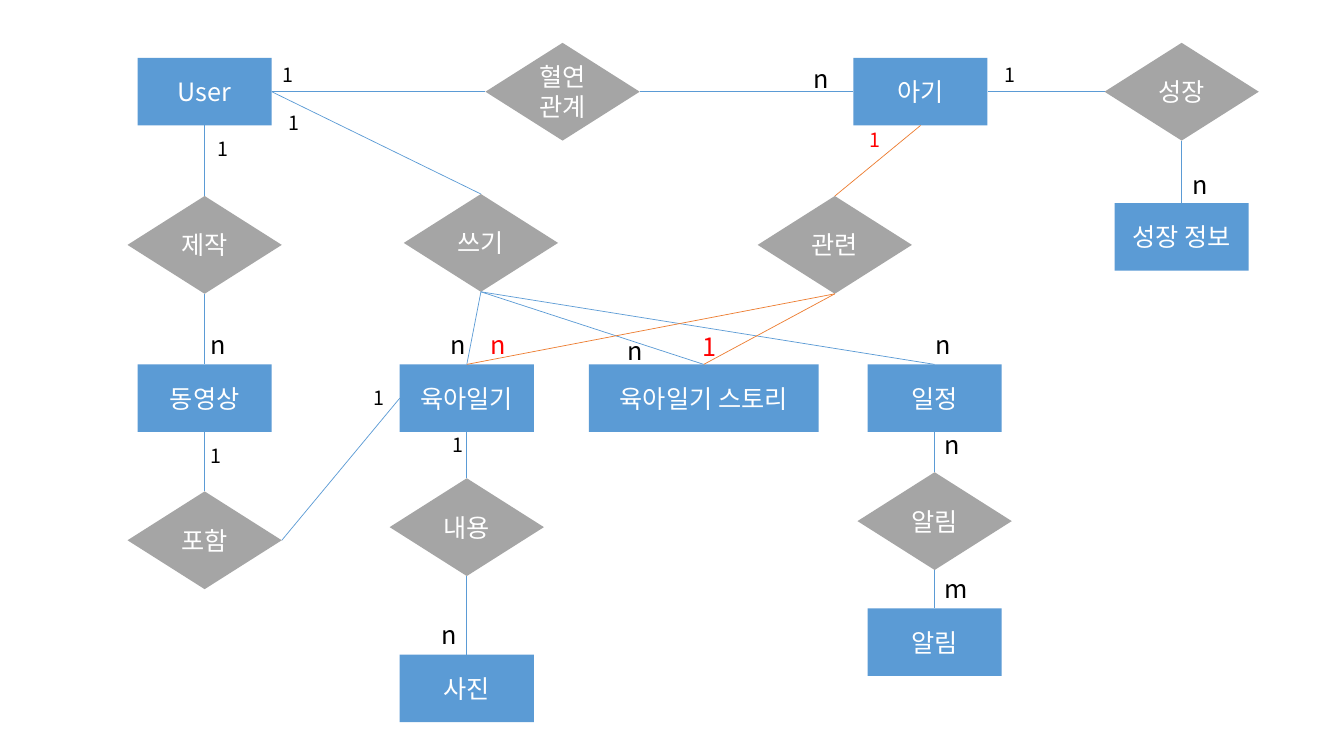
"""Build an entity-relationship diagram for a baby diary service."""
from dataclasses import dataclass
from enum import IntEnum

from lxml import etree
from pptx import Presentation
from pptx import util as u
from pptx.dml.color import RGBColor
from pptx.enum import shapes, text
from pptx.oxml.ns import qn
from pptx.shapes.autoshape import Shape
from pptx.slide import Slide
from pptx.text.text import TextFrame


@dataclass(frozen=True)
class Theme:
    """Colours, font and sizes shared by the diagram."""
    font: str = "Noto Sans CJK KR"
    entity: str = "5B9BD5"
    relation: str = "A5A5A5"
    related: str = "ED7D31"
    white: str = "FFFFFF"
    black: str = "000000"
    red: str = "FF0000"
    body: int = 18
    small: int = 14
    line: float = 0.5


THEME = Theme()


class Side(IntEnum):
    """Connection sites of rectangles and diamonds."""
    TOP = 0
    LEFT = 1
    BOTTOM = 2
    RIGHT = 3


@dataclass(frozen=True)
class Node:
    """An entity or relation placed by its centre."""
    key: str
    label: str
    x: float
    y: float
    width: float = 1.33
    height: float = 0.67
    kind: shapes.MSO_SHAPE = shapes.MSO_SHAPE.RECTANGLE
    fill: str = THEME.entity


@dataclass(frozen=True)
class Link:
    """A line between two node sides."""
    start: str
    start_side: Side
    end: str
    end_side: Side
    color: str = THEME.entity


@dataclass(frozen=True)
class Mark:
    """A cardinality mark placed by its top left corner."""
    label: str
    left: float
    top: float
    size: int = THEME.body
    color: str = THEME.black


def relation(key: str, label: str, x: float, y: float) -> Node:
    """Describe a relation diamond."""
    return Node(key, label, x, y, 1.53, 0.97, shapes.MSO_SHAPE.FLOWCHART_DECISION, THEME.relation)


def one(left: float, top: float, color: str = THEME.black) -> Mark:
    """Describe a small mark for a single item."""
    return Mark("1", left, top, THEME.small, color)


TOP_ROW, MIDDLE_ROW = 0.91, 3.95
VIDEO_X, DIARY_X, STORY_X, PLAN_X, GROWTH_X = 2.03, 4.63, 6.98, 9.27, 11.72

NODES = [
    Node("user", "User", VIDEO_X, TOP_ROW),
    Node("baby", "아기", 9.13, TOP_ROW),
    Node("growth_info", "성장 정보", GROWTH_X, 2.35),
    Node("video", "동영상", VIDEO_X, MIDDLE_ROW),
    Node("photo", "사진", DIARY_X, 6.83),
    Node("plan", "일정", PLAN_X, MIDDLE_ROW),
    Node("diary", "육아일기", DIARY_X, MIDDLE_ROW),
    Node("story", "육아일기 스토리", STORY_X, MIDDLE_ROW, width=2.28),
    Node("alarm", "알림", PLAN_X, 6.37),
    relation("kinship", "혈연관계", 5.58, TOP_ROW),
    relation("growth", "성장", GROWTH_X, TOP_ROW),
    relation("write", "쓰기", 4.77, 2.41),
    relation("notify", "알림", PLAN_X, 5.17),
    relation("content", "내용", DIARY_X, 5.23),
    relation("make", "제작", VIDEO_X, 2.43),
    relation("include", "포함", VIDEO_X, 5.36),
    relation("relate", "관련", 8.28, 2.43),
]

CHAINS_ACROSS = [("user", "kinship", "baby", "growth")]
CHAINS_DOWN = [
    ("user", "make", "video", "include"),
    ("growth", "growth_info"),
    ("write", "plan", "notify", "alarm"),
    ("write", "diary", "content", "photo"),
    ("write", "story"),
]
RELATED_DOWN = [("relate", "diary"), ("relate", "story"), ("baby", "relate")]


def chain_links(chains: list[tuple[str, ...]], start: Side, end: Side,
                color: str = THEME.entity) -> list[Link]:
    """Link each node of a chain to the next one."""
    return [Link(first, start, second, end, color)
            for chain in chains for first, second in zip(chain, chain[1:])]


LINKS = [
    *chain_links(CHAINS_ACROSS, Side.RIGHT, Side.LEFT),
    *chain_links(CHAINS_DOWN, Side.BOTTOM, Side.TOP),
    Link("user", Side.RIGHT, "write", Side.TOP),
    Link("diary", Side.LEFT, "include", Side.RIGHT),
    *chain_links(RELATED_DOWN, Side.BOTTOM, Side.TOP, THEME.related),
]

MARKS = [
    one(2.7, 0.58), one(9.86, 0.58), one(1.99, 4.35), one(3.61, 3.78),
    one(2.76, 1.05), one(4.39, 4.25), one(2.06, 1.31), one(8.53, 1.22, THEME.red),
    Mark("n", 7.97, 0.58), Mark("n", 11.73, 1.63), Mark("n", 1.99, 3.22),
    Mark("n", 4.37, 3.22), Mark("n", 6.13, 3.28), Mark("n", 9.18, 3.22),
    Mark("n", 9.27, 4.21), Mark("m", 9.27, 5.64), Mark("n", 4.28, 6.09),
    Mark("n", 4.77, 3.22, color=THEME.red), Mark("1", 6.87, 3.24, color=THEME.red),
]


def write_label(frame: TextFrame, label: str, size: int, color: str) -> None:
    """Write and format one line of text."""
    frame.text = label
    frame.word_wrap = True
    span = frame.paragraphs[0].runs[0]
    span.font.name = THEME.font
    span.font.size = u.Pt(size)
    span.font.color.rgb = RGBColor.from_string(color)
    east_asian = etree.SubElement(span.font._element, qn("a:ea"))
    east_asian.set("typeface", THEME.font)


def draw_node(page: Slide, node: Node) -> Shape:
    """Draw an entity or relation."""
    box = page.shapes.add_shape(
        node.kind, u.Inches(node.x - node.width / 2), u.Inches(node.y - node.height / 2),
        u.Inches(node.width), u.Inches(node.height))
    box.shadow.inherit = False
    box.fill.solid()
    box.fill.fore_color.rgb = RGBColor.from_string(node.fill)
    box.line.fill.background()
    write_label(box.text_frame, node.label, THEME.body, THEME.white)
    box.text_frame.vertical_anchor = text.MSO_ANCHOR.MIDDLE
    box.text_frame.paragraphs[0].alignment = text.PP_ALIGN.CENTER
    return box


def draw_link(page: Slide, link: Link, boxes: dict[str, Shape]) -> None:
    """Draw a line glued to two nodes."""
    line = page.shapes.add_connector(shapes.MSO_CONNECTOR.STRAIGHT, 0, 0, 0, 0)
    line.begin_connect(boxes[link.start], link.start_side)
    line.end_connect(boxes[link.end], link.end_side)
    line.line.color.rgb = RGBColor.from_string(link.color)
    line.line.width = u.Pt(THEME.line)
    etree.SubElement(line._element.spPr, qn("a:effectLst"))


def draw_mark(page: Slide, mark: Mark) -> None:
    """Draw a cardinality mark."""
    height = 0.34 if mark.size == THEME.small else 0.4
    box = page.shapes.add_textbox(
        u.Inches(mark.left), u.Inches(mark.top), u.Inches(0.32), u.Inches(height))
    write_label(box.text_frame, mark.label, mark.size, mark.color)
    box.text_frame.auto_size = text.MSO_AUTO_SIZE.SHAPE_TO_FIT_TEXT


def main() -> None:
    """Build and save the deck."""
    deck = Presentation()
    deck.slide_width, deck.slide_height = u.Inches(13.33), u.Inches(7.5)
    page = deck.slides.add_slide(deck.slide_layouts[6])
    boxes = {node.key: draw_node(page, node) for node in NODES}
    for link in LINKS:
        draw_link(page, link, boxes)
    for mark in MARKS:
        draw_mark(page, mark)
    deck.save("out.pptx")


if __name__ == "__main__":
    main()
